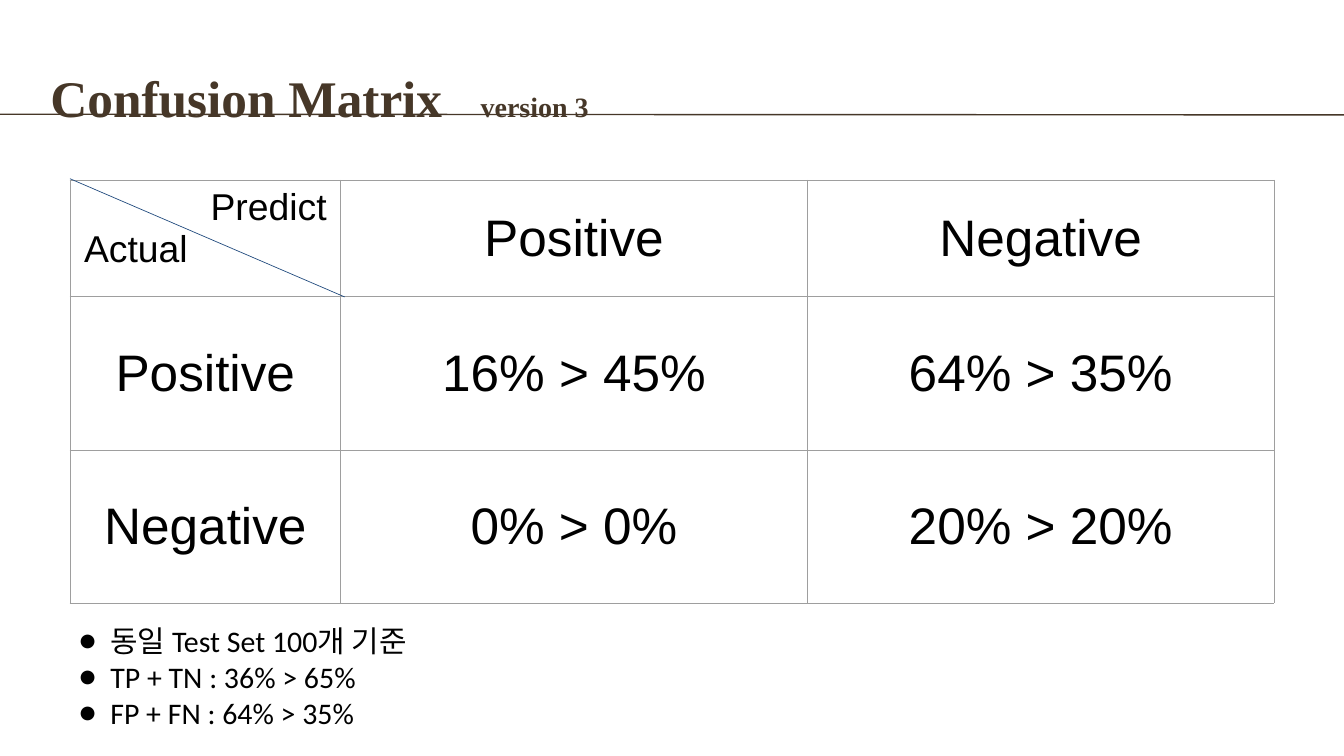
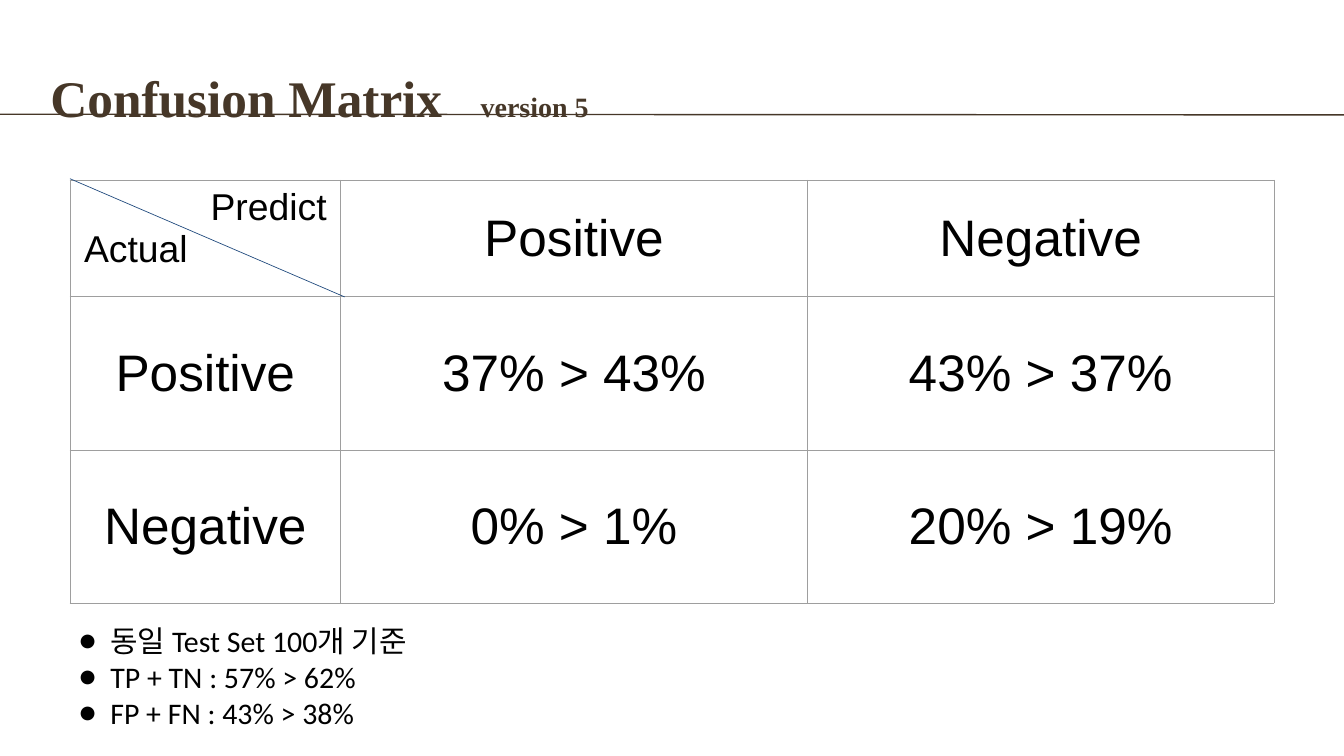
from dataclasses import dataclass

import pptx
import pptx.util
import pptx.dml.color
import pptx.enum.shapes
import pptx.enum.text
import pptx.oxml
import pptx.oxml.ns
from pptx.presentation import Presentation
from pptx.shapes.base import BaseShape
from pptx.slide import Slide
from pptx.table import _Cell
from pptx.text.text import TextFrame, _Paragraph

Pt = pptx.util.Pt
ALIGN = pptx.enum.text.PP_ALIGN
ANCHOR = pptx.enum.text.MSO_ANCHOR

COLOURS = {"brown": "463728", "blue": "1F497D", "grey": "9E9E9E", "black": "000000"}
INSET = 7.2
CORNER_INSET = 15
VERSION_TAB = 461

TABLE_LEFT, TABLE_TOP = 75, 193
COLUMN_WIDTHS = (290, 500, 500)
ROW_HEIGHTS = (125, 164, 164)
CLASSES = ("Positive", "Negative")


@dataclass(frozen=True)
class TextStyle:
    size: float
    name: str
    colour: str
    bold: bool = False


@dataclass(frozen=True)
class Box:
    left: float
    top: float
    width: float
    height: float


@dataclass(frozen=True)
class Line:
    start: tuple[float, float]
    end: tuple[float, float]
    colour: str
    width: float


@dataclass(frozen=True)
class Result:
    version: str
    matrix: tuple[tuple[str, str], tuple[str, str]]
    correct: str
    wrong: str


TITLE = TextStyle(55, "Times New Roman", "brown", True)
VERSION = TextStyle(30, "Times New Roman", "brown", True)
CELL = TextStyle(55, "Arial", "black")
CORNER = TextStyle(40, "Arial", "black")
NOTE = TextStyle(32, "Calibri", "black")

TITLE_BOX = Box(54, 38, 760, 67)
NOTES_BOX = Box(75, 660, 596, 94)
TITLE_RULE = Line((0, 122.4), (1440, 123.1), "brown", 1.5)
CORNER_DIAGONAL = Line((75, 191.5), (369.4, 318.2), "blue", 0.75)

RESULTS = (
    Result("version 3", (("16% > 45%", "64% > 35%"), ("0% > 0%", "20% > 20%")),
           "36% > 65%", "64% > 35%"),
    Result("version 5", (("37% > 43%", "43% > 37%"), ("0% > 1%", "20% > 19%")),
           "57% > 62%", "43% > 38%"),
)


def set_values(target: object, values: dict[str, object]) -> None:
    for name, value in values.items():
        setattr(target, name, value)


def rgb(colour: str) -> pptx.dml.color.RGBColor:
    return pptx.dml.color.RGBColor.from_string(COLOURS[colour])


def element(xml: str):
    """Parse one drawing element, adding the namespace declaration."""
    tag, rest = xml[:-2].split(" ", 1) if " " in xml.split(">")[0] else (xml[:-2], "")
    return pptx.oxml.parse_xml(f"{tag} {pptx.oxml.ns.nsdecls('a')} {rest}/>")


def add_run(paragraph: _Paragraph, text: str, style: TextStyle) -> None:
    run = paragraph.add_run()
    run.text = text
    set_values(run.font, {"size": Pt(style.size), "name": style.name, "bold": style.bold})
    run.font.color.rgb = rgb(style.colour)


def place(shape: BaseShape, box: Box, inset: float) -> TextFrame:
    """Move a placeholder and give its text frame a fixed top-anchored layout."""
    set_values(shape, {side: Pt(getattr(box, side))
                       for side in ("left", "top", "width", "height")})
    frame = shape.text_frame
    set_values(frame, {f"margin_{side}": Pt(inset)
                       for side in ("left", "top", "right", "bottom")})
    set_values(frame, {"word_wrap": True, "vertical_anchor": ANCHOR.TOP,
                       "auto_size": pptx.enum.text.MSO_AUTO_SIZE.NONE})
    return frame


def add_title(slide: Slide, version: str) -> None:
    paragraph = place(slide.shapes.title, TITLE_BOX, 0).paragraphs[0]
    set_values(paragraph, {"alignment": ALIGN.LEFT, "line_spacing": 1.5})
    tabs = pptx.oxml.parse_xml(
        f'<a:tabLst {pptx.oxml.ns.nsdecls("a")}>'
        f'<a:tab pos="{Pt(VERSION_TAB)}" algn="l"/></a:tabLst>')
    paragraph._p.get_or_add_pPr().append(tabs)
    add_run(paragraph, "Confusion Matrix\t", TITLE)
    add_run(paragraph, version, VERSION)


def add_notes_list(slide: Slide, result: Result) -> None:
    frame = place(slide.placeholders[1], NOTES_BOX, INSET)
    lines = ("동일 Test Set 100개 기준",
             f"TP + TN : {result.correct}",
             f"FP + FN : {result.wrong}")
    for index, text in enumerate(lines):
        paragraph = frame.add_paragraph() if index else frame.paragraphs[0]
        paragraph.space_before = Pt(0)
        properties = paragraph._p.get_or_add_pPr()
        properties.set("marL", str(Pt(36)))
        properties.set("indent", str(-Pt(34)))
        properties.append(element('<a:buFont typeface="Calibri"/>'))
        properties.append(element('<a:buChar char="●"/>'))
        add_run(paragraph, text, NOTE)


def add_line(slide: Slide, line: Line) -> None:
    connector = slide.shapes.add_connector(
        pptx.enum.shapes.MSO_CONNECTOR.STRAIGHT,
        *(Pt(value) for value in line.start + line.end))
    connector.line.color.rgb = rgb(line.colour)
    connector.line.width = Pt(line.width)
    connector._element.spPr.append(element("<a:effectLst/>"))


def format_cell(cell: _Cell, side_inset: float, anchor: ANCHOR) -> None:
    """Give a cell its margins, grey borders and no fill."""
    set_values(cell, {"margin_left": Pt(side_inset), "margin_right": Pt(side_inset),
                      "margin_top": Pt(INSET), "margin_bottom": Pt(INSET),
                      "vertical_anchor": anchor})
    properties = cell._tc.get_or_add_tcPr()
    for side in "LRTB":
        properties.append(pptx.oxml.parse_xml(
            f'<a:ln{side} {pptx.oxml.ns.nsdecls("a")} w="{Pt(0.75)}"><a:solidFill>'
            f'<a:srgbClr val="{COLOURS["grey"]}"/></a:solidFill></a:ln{side}>'))
    cell.fill.background()


def add_matrix(slide: Slide, result: Result) -> None:
    rows = ((None, *CLASSES),
            *((name, *values) for name, values in zip(CLASSES, result.matrix)))
    table = slide.shapes.add_table(
        len(ROW_HEIGHTS), len(COLUMN_WIDTHS), Pt(TABLE_LEFT), Pt(TABLE_TOP),
        Pt(sum(COLUMN_WIDTHS)), Pt(sum(ROW_HEIGHTS))).table
    set_values(table, {"first_row": False, "horz_banding": False})
    for column, width in zip(table.columns, COLUMN_WIDTHS):
        column.width = Pt(width)
    for row, height, texts in zip(table.rows, ROW_HEIGHTS, rows):
        row.height = Pt(height)
        for cell, text in zip(row.cells, texts):
            if text is None:
                fill_corner(cell)
                continue
            format_cell(cell, INSET, ANCHOR.MIDDLE)
            paragraph = cell.text_frame.paragraphs[0]
            paragraph.alignment = ALIGN.CENTER
            add_run(paragraph, text, CELL)


def fill_corner(cell: _Cell) -> None:
    format_cell(cell, CORNER_INSET, ANCHOR.TOP)
    frame = cell.text_frame
    predict, actual = frame.paragraphs[0], frame.add_paragraph()
    predict.alignment, actual.alignment = ALIGN.RIGHT, ALIGN.LEFT
    add_run(predict, "Predict", CORNER)
    add_run(actual, "Actual", CORNER)


def add_result_slide(presentation: Presentation, result: Result) -> None:
    slide = presentation.slides.add_slide(presentation.slide_layouts[1])
    add_matrix(slide, result)
    add_line(slide, TITLE_RULE)
    add_title(slide, result.version)
    add_line(slide, CORNER_DIAGONAL)
    add_notes_list(slide, result)


def main() -> None:
    presentation = pptx.Presentation()
    set_values(presentation, {"slide_width": Pt(1440), "slide_height": Pt(810)})
    for result in RESULTS:
        add_result_slide(presentation, result)
    presentation.save("out.pptx")


if __name__ == "__main__":
    main()
